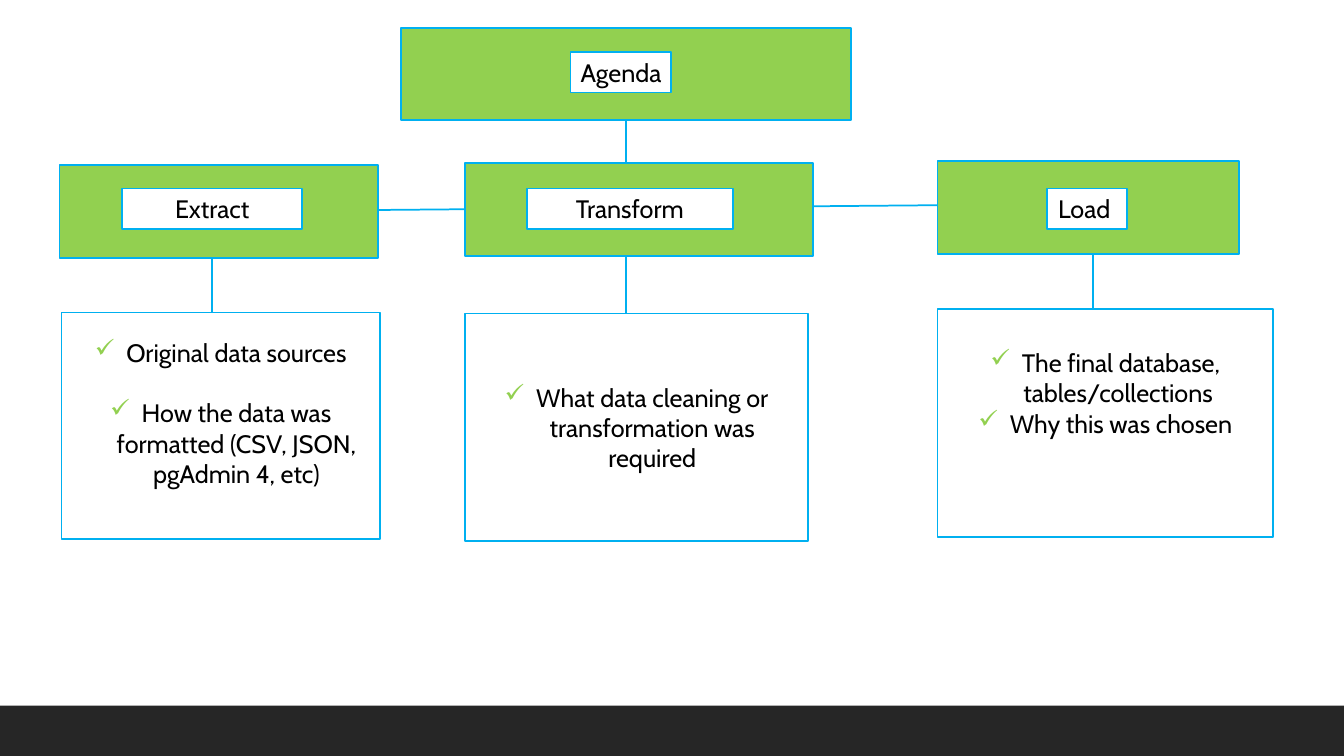
from dataclasses import dataclass
from lxml.etree import SubElement
from pptx import Presentation
from pptx.dml.color import RGBColor
from pptx.enum.shapes import MSO_CONNECTOR, MSO_SHAPE
from pptx.enum.text import MSO_ANCHOR, MSO_AUTO_SIZE, PP_ALIGN
from pptx.oxml.ns import qn
from pptx.util import Pt


@dataclass(frozen=True)
class Theme:
    green: RGBColor = RGBColor(0x92, 0xD0, 0x50)
    blue: RGBColor = RGBColor(0x00, 0xB0, 0xF0)
    white: RGBColor = RGBColor(0xFF, 0xFF, 0xFF)
    black: RGBColor = RGBColor(0x00, 0x00, 0x00)
    charcoal: RGBColor = RGBColor(0x26, 0x26, 0x26)
    font: str = "Cabin"
    text_size: float = 18
    line_width: float = 1.25
    thin_line: float = 1
    bullet_indent: float = 22.5
    line_height: float = 21.7


@dataclass(frozen=True)
class Box:
    left: float
    top: float
    width: float
    height: float

    @property
    def bottom(self):
        return self.top + self.height

    def inner(self, left, top, width, height):
        return Box(self.left + left, self.top + top, width, height)


@dataclass(frozen=True)
class Stage:
    title: str
    header: Box
    label: Box
    wrap_label: bool
    detail: Box
    drop_x: float
    points: tuple
    gap: float = 0
    bottom_inset: float = 3.6


THEME = Theme()
AGENDA = Box(286.6, 20.2, 321.1, 65.5)
AGENDA_LABEL = AGENDA.inner(121, 17.2, 72, 28.8)
EXTRACT = Box(42.5, 118.1, 227.5, 66.2)
TRANSFORM = Box(331.9, 116.6, 249.1, 66.2)
LOAD = Box(669.6, 115.2, 215.3, 66.2)

STAGES = (
    Stage("Extract", EXTRACT, EXTRACT.inner(44.6, 16.5, 128.9, 28.8), True,
          Box(43.9, 223.2, 227.5, 162), 151.2,
          ("Original data sources",
           "How the data was formatted (CSV, JSON, pgAdmin 4, etc)"),
          gap=THEME.line_height, bottom_inset=22.3),
    Stage("Transform", TRANSFORM, TRANSFORM.inner(44.6, 18, 146.9, 28.8), True,
          Box(331.9, 223.9, 245.5, 162.7), 447.1,
          ("What data cleaning or transformation was required",)),
    Stage("Load ", LOAD, LOAD.inner(78.5, 19.4, 56.9, 28.8), False,
          Box(669.6, 221, 239.8, 162.7), 780.5,
          ("The final database, tables/collections ", "Why this was chosen"),
          bottom_inset=3.6 + 2 * THEME.line_height),
)


def add_rectangle(slide, box, fill, line=THEME.blue):
    shape = slide.shapes.add_shape(MSO_SHAPE.RECTANGLE, Pt(box.left), Pt(box.top),
                                   Pt(box.width), Pt(box.height))
    shape.shadow.inherit = False
    shape.fill.solid()
    shape.fill.fore_color.rgb = fill
    if line is None:
        shape.line.fill.background()
    else:
        shape.line.color.rgb = line
        shape.line.width = Pt(THEME.line_width)
    return shape


def add_line(slide, start, end, width=THEME.line_width):
    connector = slide.shapes.add_connector(MSO_CONNECTOR.STRAIGHT,
                                           *(Pt(value) for value in start + end))
    connector.line.color.rgb = THEME.blue
    connector.line.width = Pt(width)
    SubElement(connector._element.spPr, qn("a:effectLst"))
    return connector


def style_paragraph(paragraph, text):
    paragraph.text = text
    paragraph.alignment = PP_ALIGN.CENTER
    paragraph.font.name = THEME.font
    paragraph.font.size = Pt(THEME.text_size)
    paragraph.font.color.rgb = THEME.black


def add_check_bullet(paragraph):
    properties = paragraph._p.get_or_add_pPr()
    properties.set("marL", str(Pt(THEME.bullet_indent)))
    properties.set("indent", str(-Pt(THEME.bullet_indent)))
    color = SubElement(properties, qn("a:buClr"))
    SubElement(color, qn("a:srgbClr"), val=str(THEME.green))
    SubElement(properties, qn("a:buChar"), char="✓")


def add_header(slide, box, label_box, title, wrap):
    header = add_rectangle(slide, box, THEME.green)
    frame = add_rectangle(slide, label_box, THEME.white).text_frame
    frame.word_wrap = wrap
    frame.auto_size = MSO_AUTO_SIZE.SHAPE_TO_FIT_TEXT
    frame.vertical_anchor = MSO_ANCHOR.TOP
    style_paragraph(frame.paragraphs[0], title)
    return header


def add_detail(slide, stage):
    frame = add_rectangle(slide, stage.detail, THEME.white).text_frame
    frame.word_wrap = True
    frame.vertical_anchor = MSO_ANCHOR.MIDDLE
    frame.margin_bottom = Pt(stage.bottom_inset)
    for index, point in enumerate(stage.points):
        paragraph = frame.add_paragraph() if index else frame.paragraphs[0]
        add_check_bullet(paragraph)
        style_paragraph(paragraph, point)
        if index and stage.gap:
            paragraph.space_before = Pt(stage.gap)


def add_stage(slide, stage):
    add_header(slide, stage.header, stage.label, stage.title, stage.wrap_label)
    add_detail(slide, stage)
    add_line(slide, (stage.drop_x, stage.header.bottom), (stage.drop_x, stage.detail.top))


def add_agenda_slide(presentation):
    slide = presentation.slides.add_slide(presentation.slide_layouts[6])
    slide.background.fill.solid()
    slide.background.fill.fore_color.rgb = THEME.white
    add_rectangle(slide, Box(0, 504, 960, 36), THEME.charcoal, None)
    trunk_x = AGENDA.left + AGENDA.width / 2
    trunk = add_line(slide, (trunk_x, AGENDA.bottom), (trunk_x, TRANSFORM.top), THEME.thin_line)
    add_line(slide, (211, 150.5), (715.7, 146.2))
    for stage in STAGES:
        add_stage(slide, stage)
    agenda = add_header(slide, AGENDA, AGENDA_LABEL, "Agenda", False)
    trunk.begin_connect(agenda, 2)


def main():
    presentation = Presentation()
    presentation.slide_width = Pt(960)
    presentation.slide_height = Pt(540)
    add_agenda_slide(presentation)
    presentation.save("out.pptx")


if __name__ == "__main__":
    main()
